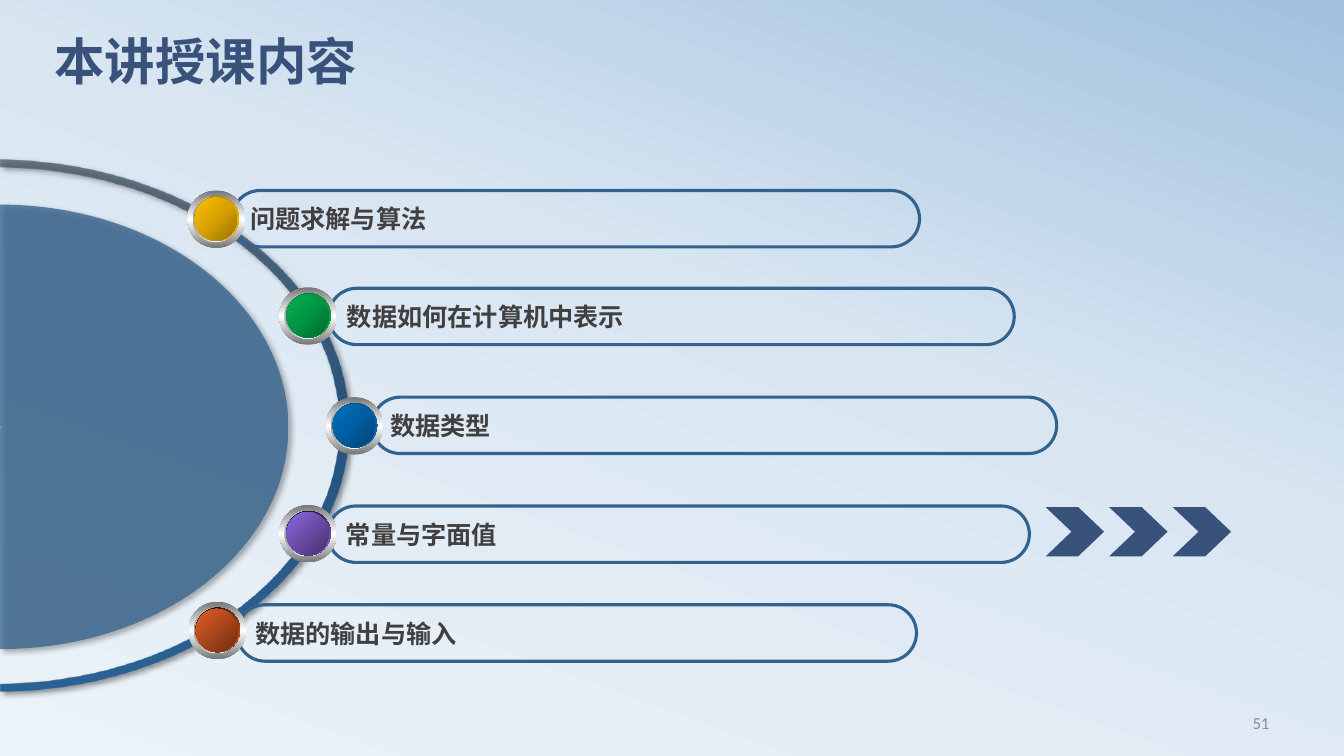
"""Build the lecture agenda slide: five topics on an arc, with the current one marked."""
from lxml import etree
from pptx import Presentation, util as u
from pptx.dml.color import RGBColor
from pptx.enum import shapes, text
from pptx.oxml.ns import qn

TITLE = "本讲授课内容"
PAGE = "51"
GOLD = [(0, "977200"), (50, "D7A200"), (100, "FFC000")]
GREEN = [(0, "00682F"), (50, "009443"), (100, "00B050")]
BLUE = [(0, "004272"), (50, "005EA2"), (100, "0070C0")]
VIOLET = [(0, "8D67E1"), (100, "45326D")]
RUST = [(0, "E35E23"), (100, "6E2E11")]
TOPICS = [
    ("常量与字面值", (3.25, 5.02, 6.96), (2.77, 5.01), VIOLET),
    ("数据如何在计算机中表示", (3.26, 2.86, 6.8), (2.77, 2.85), GREEN),
    ("问题求解与算法", (2.3, 1.89, 6.82), (1.86, 1.89), GOLD),
    ("数据类型", (3.69, 3.94, 6.79), (3.23, 3.94), BLUE),
    ("数据的输出与输入", (2.35, 6, 6.74), (1.87, 5.97), RUST),
]
BAND = [
    ("moveTo", (0, 1.66)),
    ("cubicBezTo", (1.86, 1.68), (3.36, 2.82), (3.36, 4.22)),
    ("cubicBezTo", (3.36, 5.62), (1.86, 6.76), (0, 6.78)),
    ("lnTo", (0, 6.86)),
    ("cubicBezTo", (1.92, 6.84), (3.46, 5.66), (3.46, 4.22)),
    ("cubicBezTo", (3.46, 2.78), (1.92, 1.61), (0, 1.58)),
    ("close",),
]
DOME = [
    ("moveTo", (0, 4.25)),
    ("cubicBezTo", (0.01, 4.25), (0.01, 4.24), (0.01, 4.24)),
    ("cubicBezTo", (0.01, 4.23), (0.01, 4.23), (0, 4.23)),
    ("lnTo", (0, 2.03)),
    ("cubicBezTo", (1.58, 2.03), (2.86, 3.02), (2.86, 4.24)),
    ("cubicBezTo", (2.86, 5.46), (1.58, 6.44), (0, 6.44)),
    ("lnTo", (0, 4.25)),
    ("close",),
]
THEME = {
    "sky": [(0, "ECF3F8"), (58, "D9E6F2"), (100, "A1C1DE")],
    "band": [(0, "445462", 75), (50, "24537D"), (100, "2B6295")],
    "dome": [(0, "32628E", 75), (100, "32628E", 75)],
    "rim": [(0, "767676"), (50, "FFFFFF"), (100, "767676")],
    "bevel": [(0, "A2A2A2"), (50, "FFFFFF"), (100, "A2A2A2")],
    "edge": "32628E",
    "mark": "39527B",
    "title": {"size": 36, "name": "Calibri", "bold": True, "color": "39527B"},
    "topic": {"size": 18, "name": "Noto Sans CJK SC", "bold": True, "color": "404040"},
    "page": {"size": 12, "name": "Calibri", "bold": False, "color": "8C8C8C"},
}
KIND = shapes.MSO_SHAPE
BAR_H = 0.56

deck = Presentation()
deck.slide_width, deck.slide_height = u.Inches(13.33), u.Inches(7.5)
slide = deck.slides.add_slide(deck.slide_layouts[5])


def grade(owner, stops, ang=None):
    """Swap the solid fill in owner for a linear or corner gradient."""
    grad = etree.Element(qn("a:gradFill"), rotWithShape="1")
    row = etree.SubElement(grad, qn("a:gsLst"))
    for pos, tint, *alpha in stops:
        stop = etree.SubElement(row, qn("a:gs"), pos=str(pos * 1000))
        color = etree.SubElement(stop, qn("a:srgbClr"), val=tint)
        for share in alpha:
            etree.SubElement(color, qn("a:alpha"), val=str(share * 1000))
    if ang is None:
        way = etree.SubElement(grad, qn("a:path"), {"path": "circle"})
        etree.SubElement(way, qn("a:fillToRect"), l="100000", t="100000")
    else:
        etree.SubElement(grad, qn("a:lin"), ang=str(ang * 60000), scaled="0")
    owner.replace(owner.find(qn("a:solidFill")), grad)


def write(frame, words, style, anchor, align=text.PP_ALIGN.LEFT, wrap=True):
    """Put one styled line into a text frame."""
    form = {"text": words, "vertical_anchor": anchor, "word_wrap": wrap,
            "auto_size": text.MSO_AUTO_SIZE.NONE}
    for key, val in form.items():
        setattr(frame, key, val)
    line = frame.paragraphs[0]
    line.alignment = align
    font = line.runs[0].font
    for key, val in THEME[style].items():
        if key == "color":
            font.color.rgb = RGBColor.from_string(val)
        else:
            setattr(font, key, u.Pt(val) if key == "size" else val)
    return line


def add(group, kind, *box):
    """Add a plain preset shape without line or shadow."""
    item = group.shapes.add_shape(kind, *map(u.Inches, box))
    item.shadow.inherit = False
    item.line.fill.background()
    return item


def disc(group, box, stops, ang=None):
    """Add a shaded circle."""
    item = add(group, KIND.OVAL, *box)
    item.fill.solid()
    grade(item.element.spPr, stops, ang)


def outline(box, steps, stops):
    """Add a curved outline, turned a quarter, with a soft shadow."""
    left, top, wide, high = box
    pen = slide.shapes.build_freeform(u.Inches(left), u.Inches(top))
    right, base = u.Inches(left + wide), u.Inches(top + high)
    pen.add_line_segments([(right, u.Inches(top)), (right, base)])
    item = pen.convert_to_shape()
    item.rotation = 90
    item.line.fill.background()
    item.fill.solid()
    item.shadow.inherit = False
    props = item.element.spPr
    grade(props, stops, 0)
    mid_x, mid_y = left + wide / 2, top + high / 2
    trace = props.find(".//" + qn("a:pathLst")).find(qn("a:path"))
    for old in list(trace):
        trace.remove(old)
    for verb, *dots in steps:
        step = etree.SubElement(trace, qn("a:" + verb))
        for x, y in dots:
            etree.SubElement(step, qn("a:pt"), x=str(u.Inches(wide / 2 + y - mid_y)),
                             y=str(u.Inches(high / 2 + mid_x - x)))
    cast = etree.SubElement(props.find(qn("a:effectLst")), qn("a:outerShdw"),
                            blurRad=str(u.Pt(4)), dist=str(u.Pt(3)), dir="2700000",
                            algn="tl", rotWithShape="0")
    color = etree.SubElement(cast, qn("a:srgbClr"), val="000000")
    etree.SubElement(color, qn("a:alpha"), val="40000")


slide.background.fill.solid()
grade(slide.element.find(".//" + qn("p:bgPr")), THEME["sky"], 290)

head = slide.shapes.title
for key, val in {"left": 0.44, "top": 0.36, "width": 12, "height": 0.94}.items():
    setattr(head, key, u.Inches(val))
write(head.text_frame, TITLE, "title", text.MSO_ANCHOR.TOP).line_spacing = 0.8

foot = slide.shapes.add_textbox(*map(u.Inches, (9.58, 6.97, 3.11, 0.4)))
write(foot.text_frame, PAGE, "page", text.MSO_ANCHOR.MIDDLE, text.PP_ALIGN.RIGHT)

outline((-2.69, 0.7, 5.28, 7.03), BAND, THEME["band"])
outline((-2.21, 1.37, 4.41, 5.73), DOME, THEME["dome"])

arrows = slide.shapes.add_group_shape()
for n in range(3):
    arrow = add(arrows, KIND.CHEVRON, 10.37 + n * 0.63, 5.03, 0.58, 0.49)
    arrow.adjustments[0] = 0.525
    arrow.fill.solid()
    arrow.fill.fore_color.rgb = RGBColor.from_string(THEME["mark"])

for words, (left, top, width), (x, y), tint in TOPICS:
    group = slide.shapes.add_group_shape()
    bar = add(group, KIND.ROUNDED_RECTANGLE, left, top, width, BAR_H)
    bar.adjustments[0] = 0.5
    bar.fill.background()
    bar.line.color.rgb = RGBColor.from_string(THEME["edge"])
    bar.line.width = u.Pt(2.25)
    write(bar.text_frame, words, "topic", text.MSO_ANCHOR.MIDDLE, wrap=False)
    flat = len(tint) == 2
    under = [(0, "000000"), (100, tint[0][1])] if flat else tint
    disc(group, (x, y, 0.57, 0.57), THEME["rim"], 90)
    disc(group, (x + 0.05, y + 0.06, 0.46, 0.45), THEME["bevel"], 0)
    disc(group, (x + 0.07, y + 0.06, 0.44, 0.44), under, 45)
    disc(group, (x + 0.07, y + 0.07, 0.42, 0.43), tint, 45 if flat else None)

deck.save("out.pptx")
